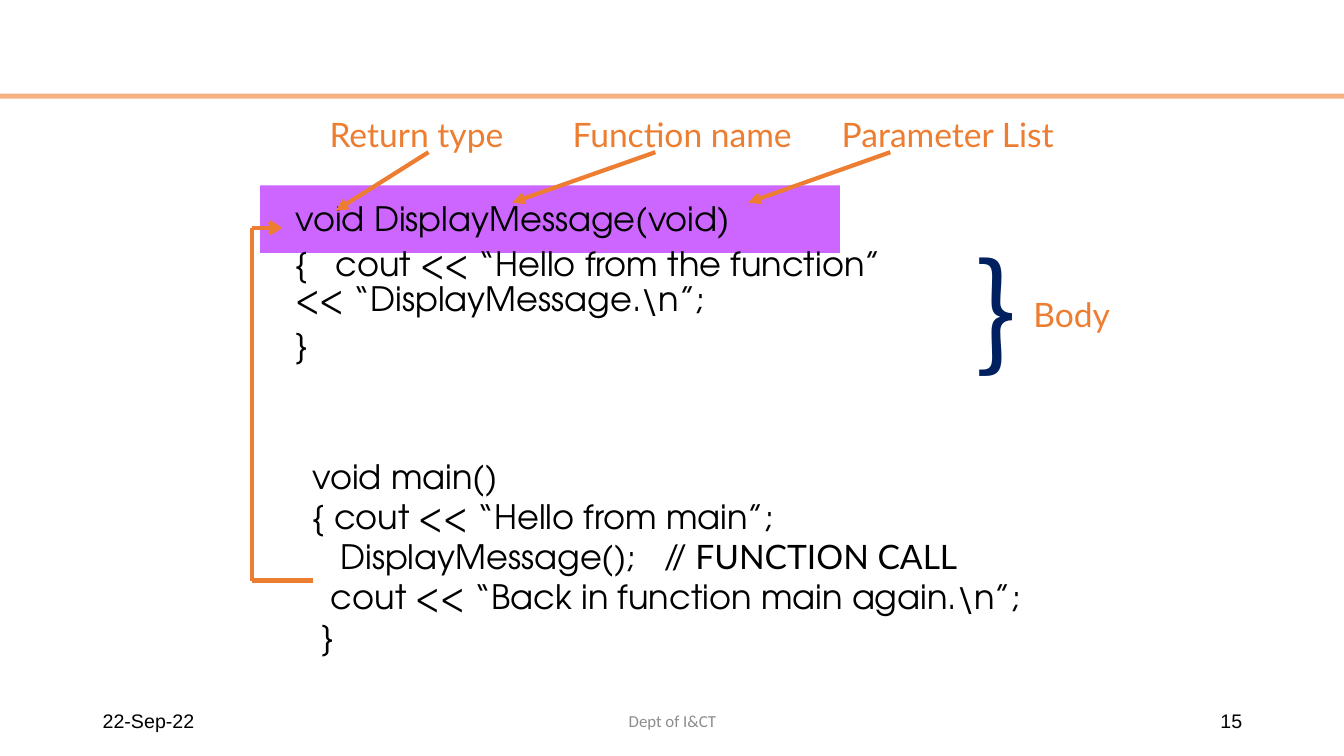
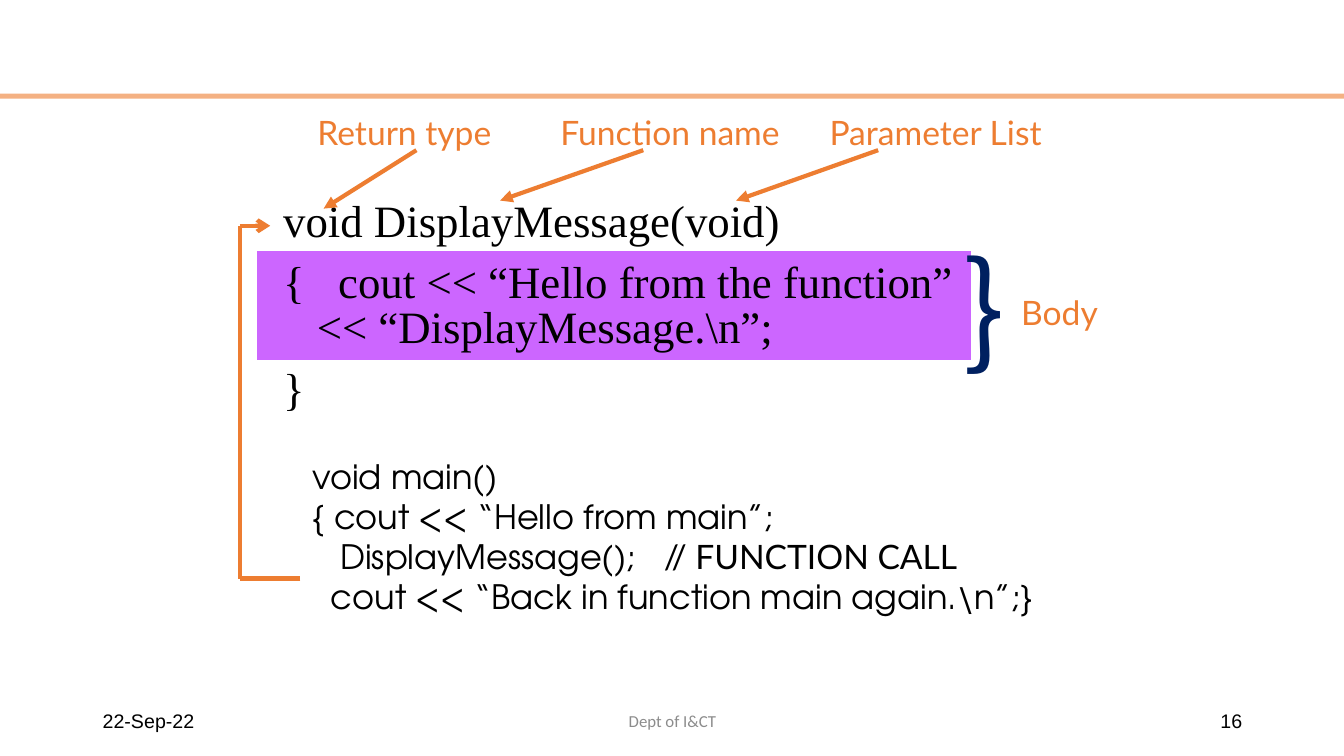
import pptx
import pptx.util
import pptx.dml.color
import pptx.enum.shapes
import pptx.enum.text
import lxml.etree
from dataclasses import dataclass
from itertools import pairwise
from pptx.oxml.ns import qn

Inches, Pt = pptx.util.Inches, pptx.util.Pt
RGB = pptx.dml.color.RGBColor.from_string
ALIGN = pptx.enum.text.PP_ALIGN
ANCHOR = pptx.enum.text.MSO_ANCHOR


@dataclass(frozen=True)
class Theme:
    band: str = "F4B183"
    accent: str = "ED7D31"
    highlight: str = "CC66FF"
    brace: str = "002060"
    ink: str = "000000"
    muted: str = "8C8C8C"
    code_font: str = "TeX Gyre Adventor"
    serif_font: str = "Times New Roman"
    label_font: str = "Lato"
    brace_font: str = "Noto Sans CJK JP"
    date_font: str = "Arial"
    footer_font: str = "Calibri"
    code: int = 24
    code_large: int = 32
    label: int = 24
    brace_size: int = 88
    date: int = 14
    footer: int = 12
    line: int = 3


T = Theme()
COMMENT = "// FUNCTION CALL"


# Building blocks
def add_rect(s, box, color):
    sp = s.shapes.add_shape(pptx.enum.shapes.MSO_SHAPE.RECTANGLE, *map(Inches, box))
    sp.shadow.inherit = False
    sp.fill.solid()
    sp.fill.fore_color.rgb = RGB(color)
    sp.line.fill.background()


def set_font(p, font, size, color):
    p.font.name = font
    p.font.size = Pt(size)
    p.font.color.rgb = RGB(color)


def add_frame(s, box, anchor=ANCHOR.TOP):
    tf = s.shapes.add_textbox(*map(Inches, box)).text_frame
    tf.word_wrap = True
    tf.vertical_anchor = anchor
    return tf


def add_text(s, box, text, font, size, color, align=ALIGN.LEFT, anchor=ANCHOR.TOP):
    p = add_frame(s, box, anchor).paragraphs[0]
    p.text = text
    p.alignment = align
    set_font(p, font, size, color)


def add_line(s, start, end, head=None):
    cn = s.shapes.add_connector(pptx.enum.shapes.MSO_CONNECTOR.STRAIGHT,
                                *map(Inches, start + end))
    cn.line.color.rgb = RGB(T.accent)
    cn.line.width = Pt(T.line)
    if head:
        lxml.etree.SubElement(cn.line._get_or_add_ln(), qn("a:tailEnd"), type=head)
    lxml.etree.SubElement(cn._element.spPr, qn("a:effectLst"))


# Code listing: one paragraph a line, "\v" breaks a line within a paragraph
def add_code(s, box, lines, spacings, font=T.code_font, size=T.code):
    tf = add_frame(s, box)
    for i, (line, spacing) in enumerate(zip(lines, spacings)):
        p = tf.add_paragraph() if i else tf.paragraphs[0]
        code, mark, _ = line.partition(COMMENT)
        p.text = code
        if mark:
            r = p.add_run()
            r.text = mark
            r.font.name = T.label_font
        p.line_spacing = spacing
        if i:
            p.space_before = Pt(round(size * 0.35, 1))
        set_font(p, font, size, T.ink)


def add_main(s, box, ending):
    lines = ["void main()", "{ cout << “Hello from main”;",
             "   DisplayMessage();   " + COMMENT,
             "  cout << “Back in function main again.\\n”;" + ending[0], *ending[1:]]
    add_code(s, box, lines, [0.7] * len(lines))


def add_function(s, box, indent, font, size):
    lines = ["void DisplayMessage(void)",
             "{   cout << “Hello from the function”\v" + indent + "<< “DisplayMessage.\\n”;",
             "}"]
    add_code(s, box, lines, [0.75, 0.85, 0.85], font, size)


# Call path from main() back up to the function header
def add_call_path(s, x, y):
    points = [(x + 0.6, y + 4.68), (x, y + 4.68), (x, y + 1.18), (x + 0.3, y + 1.18)]
    steps = list(pairwise(points))
    for step in steps:
        add_line(s, *step, head="arrow" if step == steps[-1] else None)


# Labels with pointers, and the brace around the body
def add_annotations(s, x, y):
    labels = [("Return type", 0.67, 1.75, (0.83, 1.01)),
              ("Function name", 3.08, 4.0, (2.58, 0.93)),
              ("Parameter List", 5.75, 6.33, (4.92, 0.93))]
    style = (T.label_font, T.label, T.accent)
    for text, left, start, (tip_x, tip_y) in labels:
        add_text(s, (x + left, y, 2.75, 0.51), text, *style)
        add_line(s, (x + start, y + 0.43), (x + tip_x, y + tip_y), "triangle")
    add_text(s, (x + 7.65, y + 1.79, 1.11, 0.51), "Body", *style)
    add_text(s, (x + 7.08, y + 1.18, 0.92, 1.58), "}",
             T.brace_font, T.brace_size, T.brace)


# Footer row
def add_footer(s, y, number):
    mid = ANCHOR.MIDDLE
    date = (T.date_font, T.date, T.ink)
    add_text(s, (0.92, y, 3, 0.4), "22-Sep-22", *date, anchor=mid)
    add_text(s, (9.42, y, 3, 0.4), str(number), *date, ALIGN.RIGHT, mid)
    add_text(s, (4.42, y, 4.5, 0.4), "Dept of I&CT",
             T.footer_font, T.footer, T.muted, ALIGN.CENTER, mid)


# One slide of the series; origin is the top left of the annotated diagram
def add_function_slide(prs, number, origin, highlight, function, main):
    s = prs.slides.add_slide(prs.slide_layouts[6])
    add_rect(s, (0, 0.93, 13.33, 0.05), T.band)
    add_rect(s, highlight, T.highlight)
    add_function(s, *function)
    add_main(s, *main)
    add_call_path(s, *origin)
    add_annotations(s, *origin)
    add_footer(s, 6.95, number)


def main():
    prs = pptx.Presentation()
    prs.slide_width, prs.slide_height = Inches(13.33), Inches(7.5)
    add_function_slide(
        prs, 15, (2.5, 1.08), highlight=(2.58, 1.84, 5.75, 0.67),
        function=((2.83, 2.01, 8.58, 1.72), "", T.code_font, T.code),
        main=((3, 4.58, 8.42, 2.08), ["", " }"]))
    add_function_slide(
        prs, 16, (2.38, 1.06), highlight=(2.55, 2.49, 7.08, 1.08),
        function=((2.71, 1.99, 8.21, 2.26), "   ", T.serif_font, T.code_large),
        main=((3, 4.58, 8.67, 1.66), ["}"]))
    prs.save("out.pptx")


if __name__ == "__main__":
    main()
